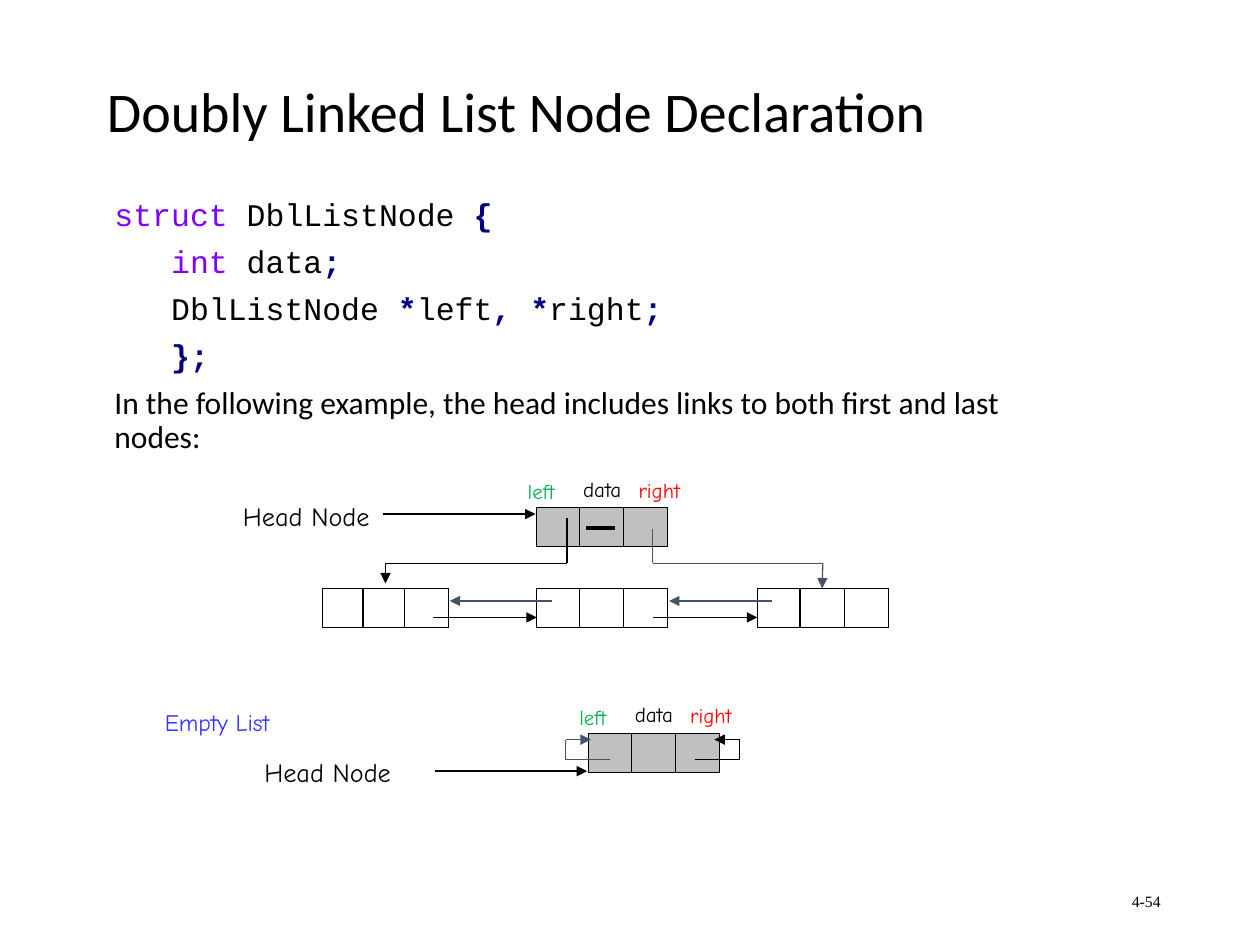
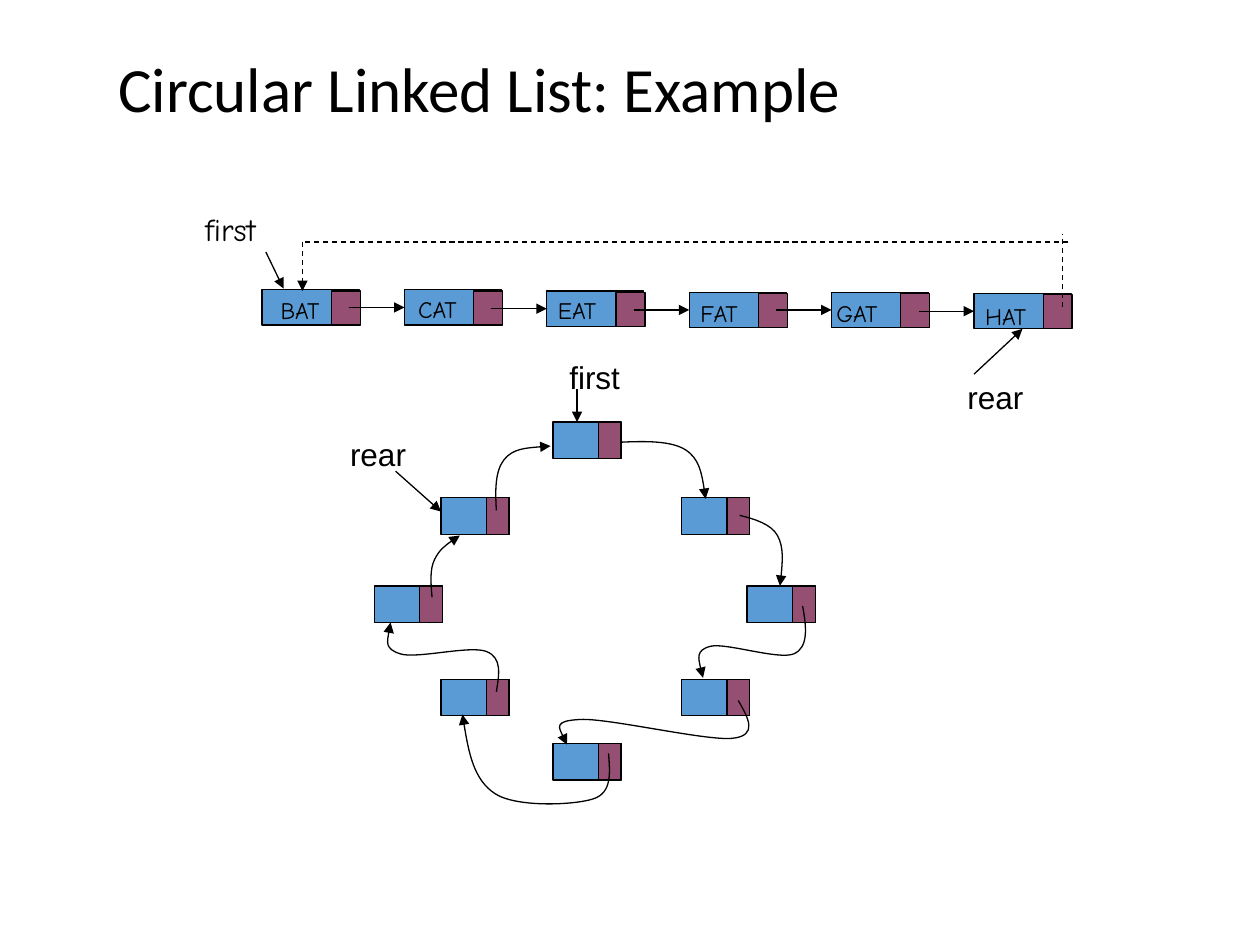
"""Draw two slides on doubly linked and circular linked lists."""
from itertools import pairwise
from lxml import etree
from pptx import Presentation
from pptx import util as u
from pptx.dml import color
from pptx.enum import dml, shapes, text
from pptx.oxml import ns

PX = 9144
BLACK, WHITE, GRAY, SLATE = "000000", "FFFFFF", "C0C0C0", "44546A"
BLUE, PLUM, GREEN, RED = "5B9BD5", "954F72", "00B050", "FF0000"
NAVY, VIOLET, INDIGO = "000080", "8000FF", "3333FF"
SANS, COMIC, MONO, ARIAL, ROMAN = "Calibri", "Comic Neue", "Courier New", "Arial", "Times New Roman"
ARROW, PLAIN = {"head": True}, {}
rgb = color.RGBColor.from_string


def stroke(item, hue=BLACK, width=0.75, head=False, dash=False):
    """Style an outline and give it an arrowhead or dashes."""
    item.line.color.rgb = rgb(hue)
    item.line.width = u.Pt(width)
    if dash:
        item.line.dash_style = dml.MSO_LINE.DASH
    if head:
        edge = item._element.spPr.find(ns.qn("a:ln"))
        etree.SubElement(edge, ns.qn("a:tailEnd"), type="triangle")


def say(slide, area, paras, size, font, anchor=text.MSO_ANCHOR.TOP):
    """Add a text box whose paragraphs are lists of (words, hue) runs."""
    frame = slide.shapes.add_textbox(*[n * PX for n in area]).text_frame
    frame.word_wrap = True
    frame.vertical_anchor = anchor
    for k, runs in enumerate(paras):
        para = frame.paragraphs[0] if k == 0 else frame.add_paragraph()
        for words, hue in runs:
            run = para.add_run()
            run.text = words
            run.font.size = u.Pt(size)
            run.font.name = font
            run.font.color.rgb = rgb(hue)
            run.font.bold = hue == NAVY
    return frame


deck = Presentation()
deck.slide_width, deck.slide_height = 1000 * PX, 750 * PX

# Slide 1: each node is three cells; span runs from its first cell to its last.
CELL, TALL, SPAN = 35, 31, 69
WIDE = SPAN + CELL
row_top = 467
head_left, head_top = 426, 403
bare_left, bare_top = 467, 582
row = [(256, 65), (426, SPAN), (601, SPAN)]

cells = []
for left, top, span, hue in [
    *[(left, row_top, span, WHITE) for left, span in row],
    (head_left, head_top, SPAN, GRAY),
    (bare_left, bare_top, SPAN, GRAY),
]:
    cells += [(left + span * k // 2, top, CELL, TALL, hue) for k in range(3)]

links = []
for (left, span), (after, _) in pairwise(row):
    right = left + span + CELL
    links.append(([(right - 12, row_top + 23), (after, row_top + 23)], BLACK, ARROW))
    links.append(([(after + 12, row_top + 10), (right + 1, row_top + 10)], SLATE, ARROW))

shelf = head_top + 44
for start, drop, goal, tip, hue in [
    (head_left + 24, 8, 306, row_top - 4, BLACK),
    (head_left + 92, 17, 653, row_top, SLATE),
]:
    bend = [(start, head_top + drop), (start, shelf), (goal, shelf), (goal, tip)]
    links.append((bend, hue, ARROW))

mid = bare_left + WIDE // 2 - 1
low, high = bare_top + 21, bare_top + 5
for side, hue in [(1, BLACK), (-1, SLATE)]:
    loop = [(34, low), (69, low), (69, high), (49, high)]
    links.append(([(mid + side * reach, y) for reach, y in loop], hue, ARROW))

bar = head_top + 16
links.append(([(head_left + 39, bar), (head_left + 62, bar)], BLACK, {"width": 2.25}))

tags = [("Empty List", 121, 557, 136, 13.5, COMIC, INDIGO)]
for left, top, drop, name_left, name_top in [
    (head_left, head_top, 5, 183, 392),
    (bare_left, bare_top, 30, 200, 595),
]:
    links.append(([(left - 122, top + drop), (left - 1, top + drop)], BLACK, ARROW))
    tags.append(("Head Node", name_left, name_top, 139, 15, COMIC, BLACK))
    for k, (word, lift, hue) in enumerate([("left", 28, GREEN), ("data", 30, BLACK), ("right", 29, RED)]):
        tags.append((word, left - 17 + 44 * k, top - lift, 63, 12, COMIC, hue))

# Slide 2: a straight chain, then a ring of smaller nodes.
words = [("BAT", 5, 0), ("CAT", 1, -1), ("EAT", -1, -1), ("FAT", -1, 0), ("GAT", -6, 0), ("HAT", -1, 2)]
chain = [(208 + 113 * k, 230 + 2 * k // 3) for k in range(len(words))]
nodes, arrows, names = [], [], []
for (x, y), (word, dx, dy) in zip(chain, words):
    nodes += [(x, y, 77, 28, BLUE), (x + 55, y + 1, 23, 27, PLUM)]
    names.append((word, x + dx, y + dy, 63, 13.5, COMIC, BLACK))
for x, y in chain[1:]:
    arrows.append(([(x - 44, y + 14), (x, y + 14)], BLACK, ARROW))

# Each hop leaves its node at exit, passes the bends, and lands on the next
# node; exit and bends are offsets from this node, land from the next one.
hops = [
    ((439, 335), (54, 16), [(105, 22)], (19, 1)),
    ((541, 395), (46, 14), [(76, 30)], (26, 0)),
    ((593, 465), (44, 16), [(37, 54), (-29, 48)], (17, -1)),
    ((541, 539), (45, 17), [(40, 47), (-80, 32)], (11, 1)),
    ((439, 590), (44, 8), [(32, 44), (-46, 40)], (17, 28)),
    ((350, 539), (44, 10), [(36, -22), (-32, -20)], (13, 29)),
    ((297, 465), (46, 9), [(48, -21)], (15, 30)),
    ((350, 395), (44, 10), [(50, -30)], (-2, 19)),
]
ring = [hop[0] for hop in hops]
curves = []
for k, ((x, y), leave, bends, land) in enumerate(hops):
    nodes += [(x, y, 54, 29, BLUE), (x + 36, y, 18, 29, PLUM)]
    goal = ring[(k + 1) % len(ring)]
    knots = [(x + dx, y + dy) for dx, dy in [leave, *bends]]
    curves.append([*knots, (goal[0] + land[0], goal[1] + land[1])])

for word, font, (x, y), label, tail, tip in [
    ("first", COMIC, chain[0], (-55, -68), (3, -30), (17, -1)),
    ("rear", ARIAL, chain[-1], (-15, 62), (0, 64), (38, 28)),
    ("first", ARIAL, ring[0], (3, -56), (19, -26), (19, 0)),
    ("rear", ARIAL, ring[-1], (-82, -55), (-36, -21), (0, 11)),
]:
    names.append((word, x + label[0], y + label[1], 90, 18, font, BLACK))
    arrows.append(([(x + dx, y + dy) for dx, dy in (tail, tip)], BLACK, ARROW))

rail, rise, fall = 192, chain[-1][0] + 70, chain[0][0] + 32
back = [(rise + 5, rail), (fall, rail), (fall, chain[0][1] + 1)]
arrows.append(([(rise, rail + 52), (rise, rail - 6)], BLACK, {"dash": True}))
arrows.append((back, BLACK, {"dash": True, "head": True}))

pages = [
    ("Doubly Linked List Node Declaration", (75, 54, 747, 66), 32, cells, links, tags, []),
    ("Circular Linked List: Example", (84, 53, 754, 52), 36, nodes, arrows, names, curves),
]
for title, area, size, boxes, routes, labels, bows in pages:
    slide = deck.slides.add_slide(deck.slide_layouts[6])
    frame = say(slide, area, [[(title, BLACK)]], size, SANS, text.MSO_ANCHOR.BOTTOM)
    frame.paragraphs[0].line_spacing = 0.9

    ports = []
    for x, y, w, h, hue in boxes:
        box = slide.shapes.add_shape(shapes.MSO_SHAPE.RECTANGLE, x * PX, y * PX, w * PX, h * PX)
        box.shadow.inherit = False
        box.fill.solid()
        box.fill.fore_color.rgb = rgb(hue)
        stroke(box)
        sides = [(x + w / 2, y), (x, y + h / 2), (x + w / 2, y + h), (x + w, y + h / 2)]
        ports += [(box, k, *side) for k, side in enumerate(sides)]

    # A smooth curve through its knots: the slope at a knot follows its two
    # neighbours, and the outer handles sit halfway to the inner ones.
    for knots in bows:
        pulls = []
        for (ax, ay), (bx, by), (cx, cy) in zip(knots, knots[1:], knots[2:]):
            dx, dy = (cx - ax) / 6, (cy - ay) / 6
            pulls += [(bx - dx, by - dy), (bx, by), (bx + dx, by + dy)]
        (sx, sy), (ex, ey) = knots[0], knots[-1]
        (px, py), (qx, qy) = pulls[0], pulls[-1]
        points = [((sx + px) / 2, (sy + py) / 2), *pulls, ((ex + qx) / 2, (ey + qy) / 2), (ex, ey)]
        pen = slide.shapes.build_freeform(sx, sy, scale=PX)
        pen.add_line_segments(points, close=False)
        bow = pen.convert_to_shape()
        bow.shadow.inherit = False
        bow.fill.background()
        stroke(bow, head=True)
        track = bow._element.find(".//" + ns.qn("a:path"))
        steps = list(track)[1:]
        for k in range(0, len(steps), 3):
            arc = etree.SubElement(track, ns.qn("a:cubicBezTo"))
            for step in steps[k:k + 3]:
                arc.append(step[0])
                track.remove(step)

    for points, hue, look in routes:
        for (x, y), end in pairwise(points):
            wire = slide.shapes.add_connector(
                shapes.MSO_CONNECTOR.STRAIGHT, x * PX, y * PX, end[0] * PX, end[1] * PX)
            head = look.get("head", False) and end == points[-1]
            stroke(wire, hue, **{**look, "head": head})
            etree.SubElement(wire._element.spPr, ns.qn("a:effectLst"))
            for box, side, px, py in ports:
                if head and abs(px - end[0]) <= 1 and abs(py - end[1]) <= 1:
                    wire.end_connect(box, side)

    for word, x, y, w, size, font, hue in labels:
        say(slide, (x, y, w, 35), [[(word, hue)]], size, font)

first = deck.slides[0]
code = [
    [("struct", VIOLET), (" DblListNode ", BLACK), ("{", NAVY)],
    [("int", VIOLET), (" data", BLACK), (";", NAVY)],
    [("DblListNode ", BLACK), ("*", NAVY), ("left", BLACK), (",", NAVY),
     (" ", BLACK), ("*", NAVY), ("right", BLACK), (";", NAVY)],
    [("};", NAVY)],
    [("In the following example, the head includes links to both first and last nodes:", BLACK)],
]
body = say(first, (81, 153, 792, 430), code, 18, MONO)
for para in body.paragraphs:
    para.line_spacing = 0.9
    para.space_before = u.Pt(7.5)
for para in body.paragraphs[1:4]:
    para._p.get_or_add_pPr().set("marL", str(45 * PX))
body.paragraphs[4].runs[0].font.name = SANS

foot = say(first, (706, 695, 225, 40), [[("4-54", BLACK)]], 9, ROMAN, text.MSO_ANCHOR.MIDDLE)
foot.paragraphs[0].alignment = text.PP_ALIGN.RIGHT

deck.save("out.pptx")
